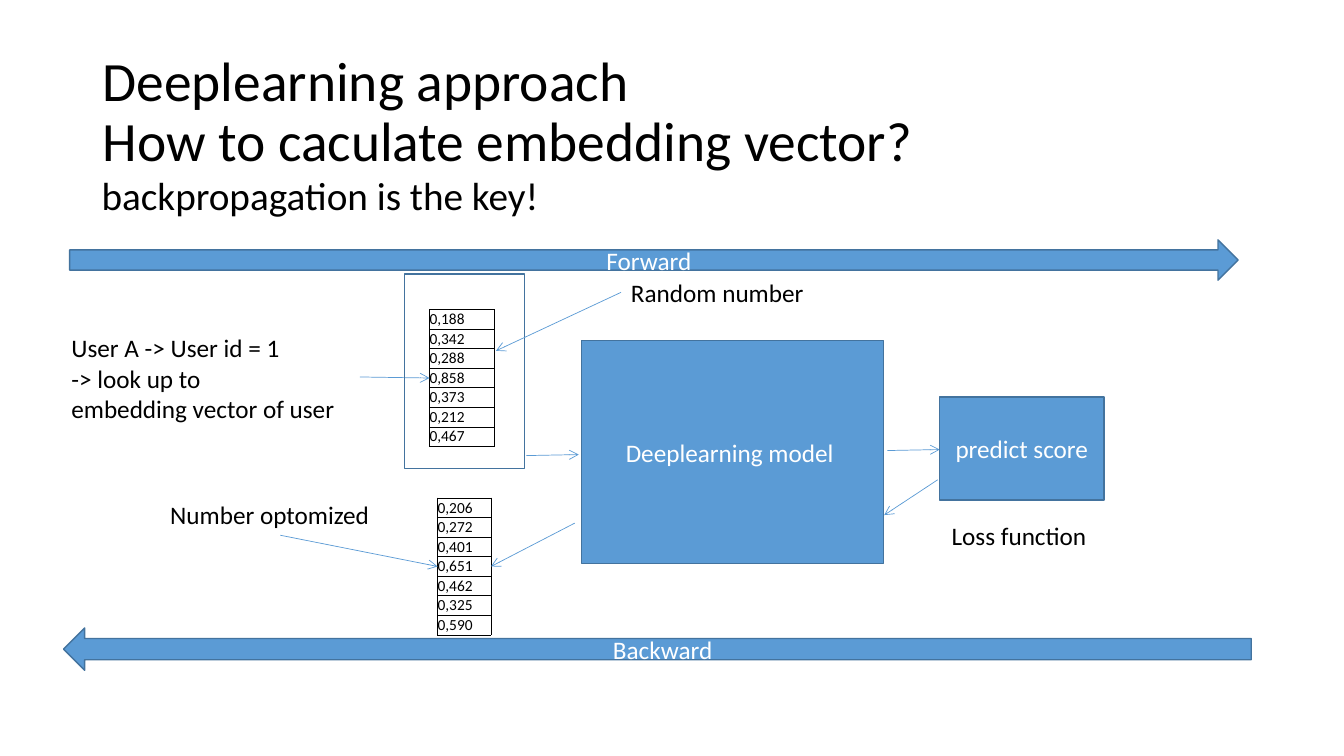
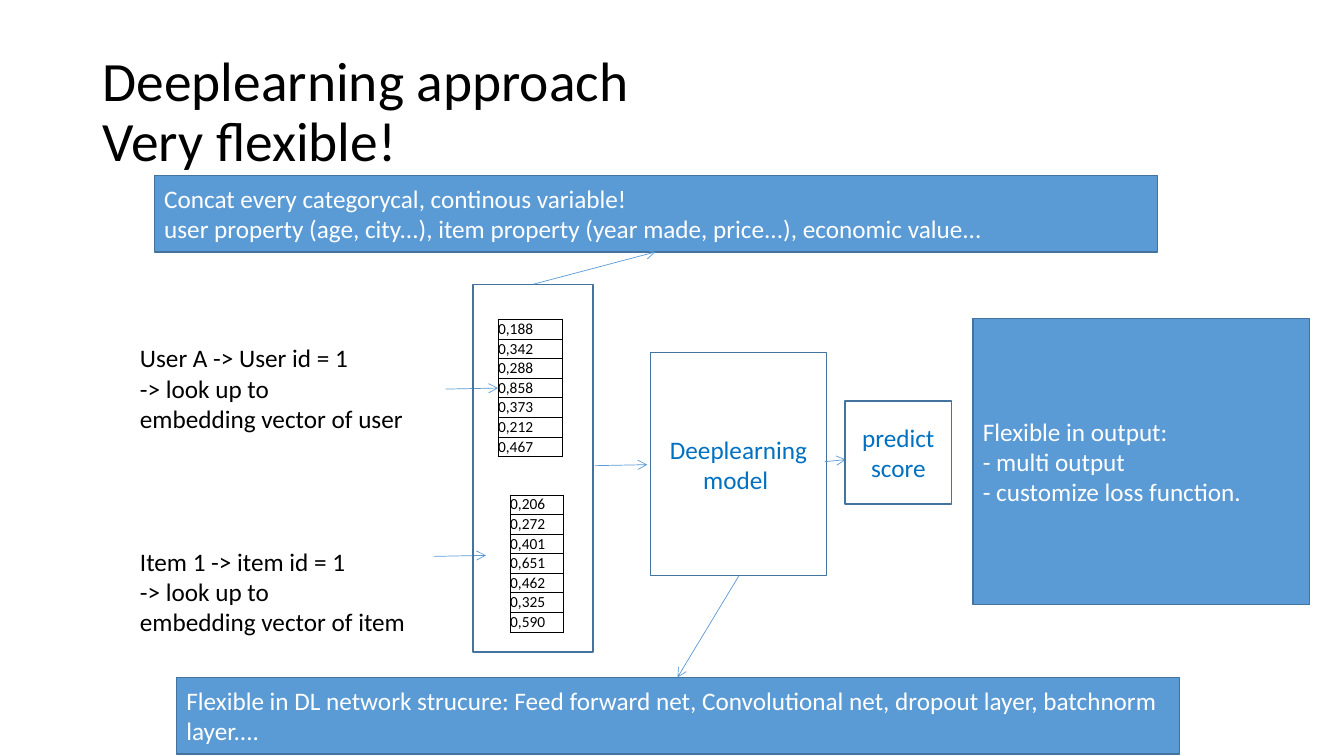
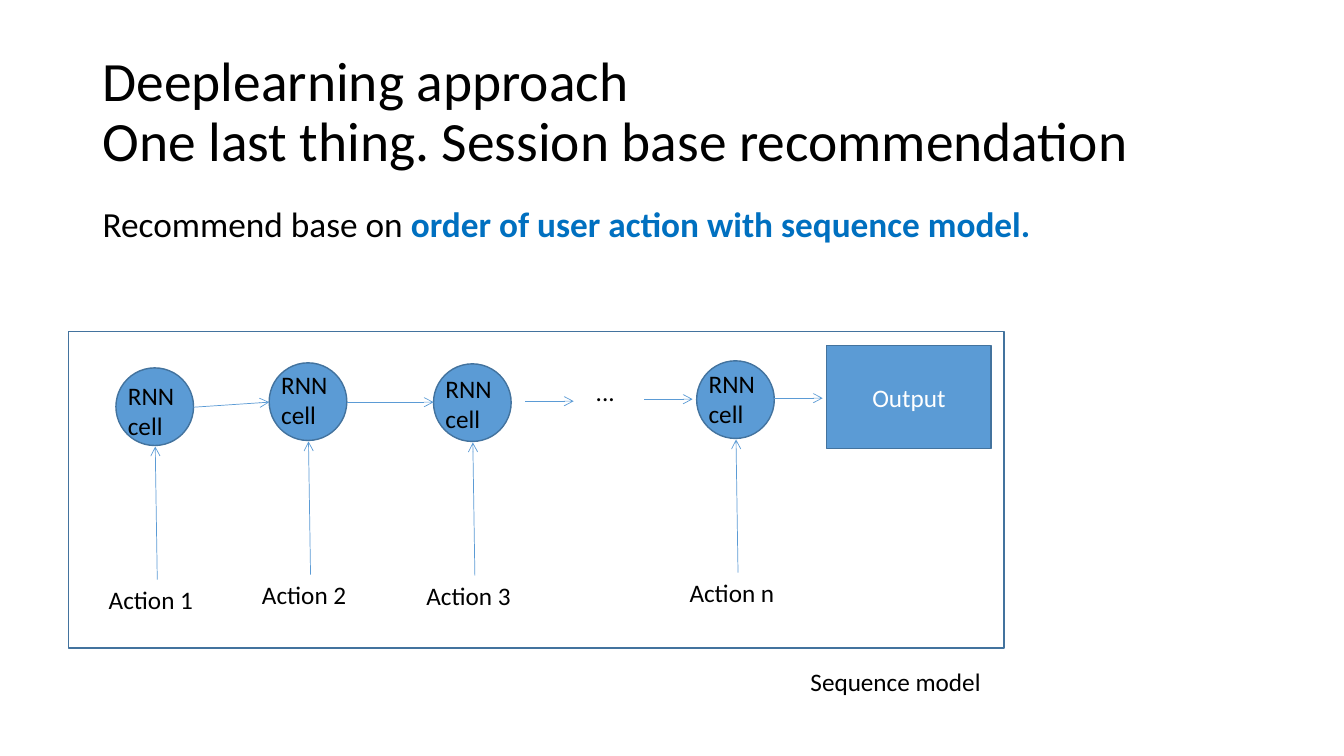
"""Build three slides on deep learning for recommendation."""
from dataclasses import dataclass
from typing import Optional

from lxml.etree import SubElement
from pptx import Presentation
from pptx.dml.color import RGBColor
from pptx.enum.shapes import MSO_CONNECTOR, MSO_SHAPE as Preset
from pptx.enum.text import MSO_ANCHOR as Anchor, PP_ALIGN as Align
from pptx.oxml.ns import qn
from pptx.slide import Slide
from pptx.text.text import TextFrame
from pptx.util import Inches, Pt


@dataclass(frozen=True)
class Theme:
    font: str = "Calibri"
    ink: str = "000000"
    paper: str = "FFFFFF"
    blue: str = "5B9BD5"
    edge: str = "43739E"
    accent: str = "0070C0"
    title_size: float = 39.6
    key_size: float = 28
    lead_size: float = 25.2
    text_size: float = 18
    number_size: float = 11
    edge_width: float = 1
    hairline: float = 0.5
    line_spacing: float = 0.9


@dataclass(frozen=True)
class Box:
    left: float
    top: float
    width: float
    height: float

    def lengths(self) -> tuple[Inches, ...]:
        return tuple(Inches(n) for n in (self.left, self.top, self.width, self.height))


@dataclass(frozen=True)
class Label:
    text: str
    box: Box


@dataclass(frozen=True)
class Block:
    box: Box
    text: str = ""
    preset: Preset = Preset.RECTANGLE
    fill: Optional[str] = Theme.blue
    color: str = Theme.paper
    align: Align = Align.CENTER


@dataclass(frozen=True)
class Arrow:
    x1: float
    y1: float
    x2: float
    y2: float


@dataclass(frozen=True)
class Vector:
    left: float
    top: float
    width: float
    values: tuple[str, ...]


@dataclass(frozen=True)
class RnnStep:
    action: str
    left: float
    top: float
    name_top: float


THEME = Theme()
ROW_HEIGHT = 1.36 / 7
USER_VALUES = ("0,188", "0,342", "0,288", "0,858", "0,373", "0,212", "0,467")
ITEM_VALUES = ("0,206", "0,272", "0,401", "0,651", "0,462", "0,325", "0,590")
USER_LOOKUP = "User A -> User id = 1\n-> look up to\nembedding vector of user"
ITEM_LOOKUP = "Item 1 -> item id = 1\n-> look up to\nembedding vector of item"


def write(frame: TextFrame, text: str, size: float, color: str = THEME.ink,
          align: Align = Align.LEFT, spacing: Optional[float] = None) -> None:
    frame.word_wrap = True
    frame.text = text
    for paragraph in frame.paragraphs:
        paragraph.alignment = align
        paragraph.line_spacing = spacing
        paragraph.font.name = THEME.font
        paragraph.font.size = Pt(size)
        paragraph.font.color.rgb = RGBColor.from_string(color)


def draw_title(slide: Slide, text: str, width: float = 11.5) -> None:
    frame = slide.shapes.add_textbox(*Box(0.92, 0.4, width, 1.45).lengths()).text_frame
    frame.vertical_anchor = Anchor.MIDDLE
    write(frame, text, THEME.title_size, spacing=THEME.line_spacing)


def draw_lead(slide: Slide, text: str, box: Box, size: float, strong: str = "") -> None:
    frame = slide.shapes.add_textbox(*box.lengths()).text_frame
    write(frame, text, size, spacing=THEME.line_spacing)
    frame.paragraphs[0].space_before = Pt(10)
    if strong:
        emphasis = frame.paragraphs[0].add_run()
        emphasis.text = strong
        emphasis.font.bold = True
        emphasis.font.color.rgb = RGBColor.from_string(THEME.accent)


def draw_label(slide: Slide, label: Label) -> None:
    frame = slide.shapes.add_textbox(*label.box.lengths()).text_frame
    write(frame, label.text, THEME.text_size)


def draw_block(slide: Slide, block: Block) -> None:
    shape = slide.shapes.add_shape(block.preset, *block.box.lengths())
    shape.shadow.inherit = False
    if block.fill:
        shape.fill.solid()
        shape.fill.fore_color.rgb = RGBColor.from_string(block.fill)
    else:
        shape.fill.background()
    shape.line.color.rgb = RGBColor.from_string(THEME.edge)
    shape.line.width = Pt(THEME.edge_width)
    if block.text:
        shape.text_frame.vertical_anchor = Anchor.MIDDLE
        write(shape.text_frame, block.text, THEME.text_size, block.color, block.align)


def draw_arrow(slide: Slide, arrow: Arrow) -> None:
    ends = (Inches(n) for n in (arrow.x1, arrow.y1, arrow.x2, arrow.y2))
    connector = slide.shapes.add_connector(MSO_CONNECTOR.STRAIGHT, *ends)
    connector.line.color.rgb = RGBColor.from_string(THEME.blue)
    connector.line.width = Pt(THEME.hairline)
    SubElement(connector.line._get_or_add_ln(), qn("a:tailEnd"), type="arrow")
    SubElement(connector._element.spPr, qn("a:effectLst"))


def draw_vector(slide: Slide, vector: Vector) -> None:
    count = len(vector.values)
    box = Box(vector.left, vector.top, vector.width, count * ROW_HEIGHT)
    table = slide.shapes.add_table(count, 1, *box.lengths()).table
    table.first_row = table.horz_banding = False
    for row, value in zip(table.rows, vector.values):
        row.height = Inches(ROW_HEIGHT)
        cell = row.cells[0]
        cell.margin_left = cell.margin_right = cell.margin_top = cell.margin_bottom = 0
        cell.vertical_anchor = Anchor.MIDDLE
        write(cell.text_frame, value, THEME.number_size)
        properties = cell._tc.get_or_add_tcPr()
        for side in ("lnL", "lnR", "lnT", "lnB"):
            border = SubElement(properties, qn(f"a:{side}"), w=str(Pt(THEME.hairline)))
            SubElement(SubElement(border, qn("a:solidFill")), qn("a:srgbClr"), val=THEME.ink)
        cell.fill.background()


def draw_step(slide: Slide, step: RnnStep) -> None:
    x, y = step.left, step.top
    draw_block(slide, Block(Box(x, y, 0.77, 0.77), preset=Preset.FLOWCHART_CONNECTOR))
    draw_label(slide, Label("RNN\ncell", Box(x + 0.02, step.name_top, 0.84, 0.72)))
    draw_label(slide, Label(step.action, Box(x - 0.17, y + 2.1, 1.18, 0.42)))
    draw_arrow(slide, Arrow(x + 0.41, y + 2.1, x + 0.39, y + 0.78))


def draw_all(slide: Slide, *parts: Label | Block | Arrow | Vector | RnnStep) -> None:
    painters = {Label: draw_label, Block: draw_block, Arrow: draw_arrow,
                Vector: draw_vector, RnnStep: draw_step}
    for part in parts:
        painters[type(part)](slide, part)


def build_backpropagation(slide: Slide) -> None:
    draw_title(slide, "Deeplearning approach\vHow to caculate embedding vector?")
    draw_lead(slide, "backpropagation is the key!", Box(0.91, 1.7, 11.5, 0.65), THEME.key_size)
    draw_all(
        slide,
        Label(USER_LOOKUP, Box(0.61, 3.25, 3.13, 1.02)),
        Vector(4.26, 3.07, 0.64, USER_VALUES),
        Vector(4.34, 4.94, 0.53, ITEM_VALUES),
        Arrow(3.57, 3.74, 4.26, 3.75),
        Block(Box(4.01, 2.72, 1.19, 1.93), fill=None),
        Label("Random number", Box(6.16, 2.7, 2.09, 0.42)),
        Arrow(5.22, 4.52, 5.74, 4.51),
        Block(Box(5.77, 3.38, 2.99, 2.21), "Deeplearning model "),
        Arrow(8.8, 4.47, 9.32, 4.46),
        Block(Box(9.32, 3.94, 1.63, 1.02), "predict score"),
        Arrow(6.16, 2.9, 4.92, 3.48),
        Block(Box(0.69, 2.38, 11.59, 0.4), "Forward", Preset.RIGHT_ARROW),
        Block(Box(0.63, 6.23, 11.78, 0.42), "Backward", Preset.LEFT_ARROW),
        Label("Loss function", Box(9.34, 5.11, 1.7, 0.42)),
        Arrow(9.3, 4.76, 8.77, 5.11),
        Arrow(5.7, 5.19, 4.87, 5.62),
        Label("Number optomized", Box(1.59, 4.9, 2.37, 0.42)),
        Arrow(2.78, 5.31, 4.34, 5.62),
    )


def build_flexibility(slide: Slide) -> None:
    draw_title(slide, "Deeplearning approach\vVery flexible!")
    draw_all(
        slide,
        Label(USER_LOOKUP, Box(1.29, 3.35, 3.13, 1.02)),
        Label(ITEM_LOOKUP, Box(1.29, 5.37, 3.17, 1.02)),
        Vector(4.94, 3.17, 0.64, USER_VALUES),
        Vector(5.06, 4.91, 0.53, ITEM_VALUES),
        Arrow(4.42, 3.86, 4.94, 3.85),
        Arrow(4.3, 5.52, 4.82, 5.51),
        Block(Box(4.69, 2.82, 1.19, 3.65), fill=None),
        Arrow(5.9, 4.62, 6.42, 4.61),
        Block(Box(6.45, 3.5, 1.75, 2.21), "Deeplearning model ", fill=None, color=THEME.accent),
        Arrow(8.18, 4.58, 8.39, 4.56),
        Block(Box(8.38, 3.98, 1.06, 1.02), "predict score", fill=None, color=THEME.accent),
        Block(Box(1.53, 1.74, 9.95, 0.76),
              "Concat every categorycal, continous variable!\n"
              "user property (age, city...), item property (year made, price...), economic value...",
              align=Align.LEFT),
        Arrow(5.29, 2.82, 6.5, 2.5),
        Block(Box(1.75, 6.72, 9.95, 0.76),
              "Flexible in DL network strucure: Feed forward net, Convolutional net, "
              "dropout layer, batchnorm layer....",
              align=Align.LEFT),
        Arrow(7.33, 5.71, 6.72, 6.72),
        Block(Box(9.65, 3.16, 3.34, 2.84),
              "Flexible in output:\n- multi output\n- customize loss function.",
              align=Align.LEFT),
    )


def build_session(slide: Slide) -> None:
    draw_title(slide, "Deeplearning approach\vOne last thing. Session base recommendation", 12.16)
    draw_lead(slide, "Recommend base on ", Box(0.92, 2, 11.5, 0.68), THEME.lead_size,
              "order of user action with sequence model.")
    draw_all(
        slide,
        RnnStep("Action 1", 1.15, 3.65, 3.72),
        RnnStep("Action 2", 2.67, 3.6, 3.61),
        RnnStep("Action 3", 4.3, 3.61, 3.65),
        RnnStep("Action n", 6.91, 3.58, 3.6),
        Arrow(1.92, 4.04, 2.67, 3.99),
        Arrow(3.44, 3.99, 4.3, 3.99),
        Arrow(5.21, 3.98, 5.69, 3.98),
        Arrow(6.39, 3.96, 6.87, 3.96),
        Label("...", Box(5.81, 3.68, 0.44, 0.42)),
        Arrow(7.68, 3.95, 8.16, 3.95),
        Block(Box(8.2, 3.43, 1.63, 1.02), "Output"),
        Block(Box(0.68, 3.29, 9.28, 3.14), fill=None),
        Label("Sequence model", Box(7.94, 6.56, 2.03, 0.42)),
    )


def main() -> None:
    deck = Presentation()
    deck.slide_width, deck.slide_height = Inches(13.33), Inches(7.5)
    for build in (build_backpropagation, build_flexibility, build_session):
        build(deck.slides.add_slide(deck.slide_layouts[6]))
    deck.save("out.pptx")


if __name__ == "__main__":
    main()
